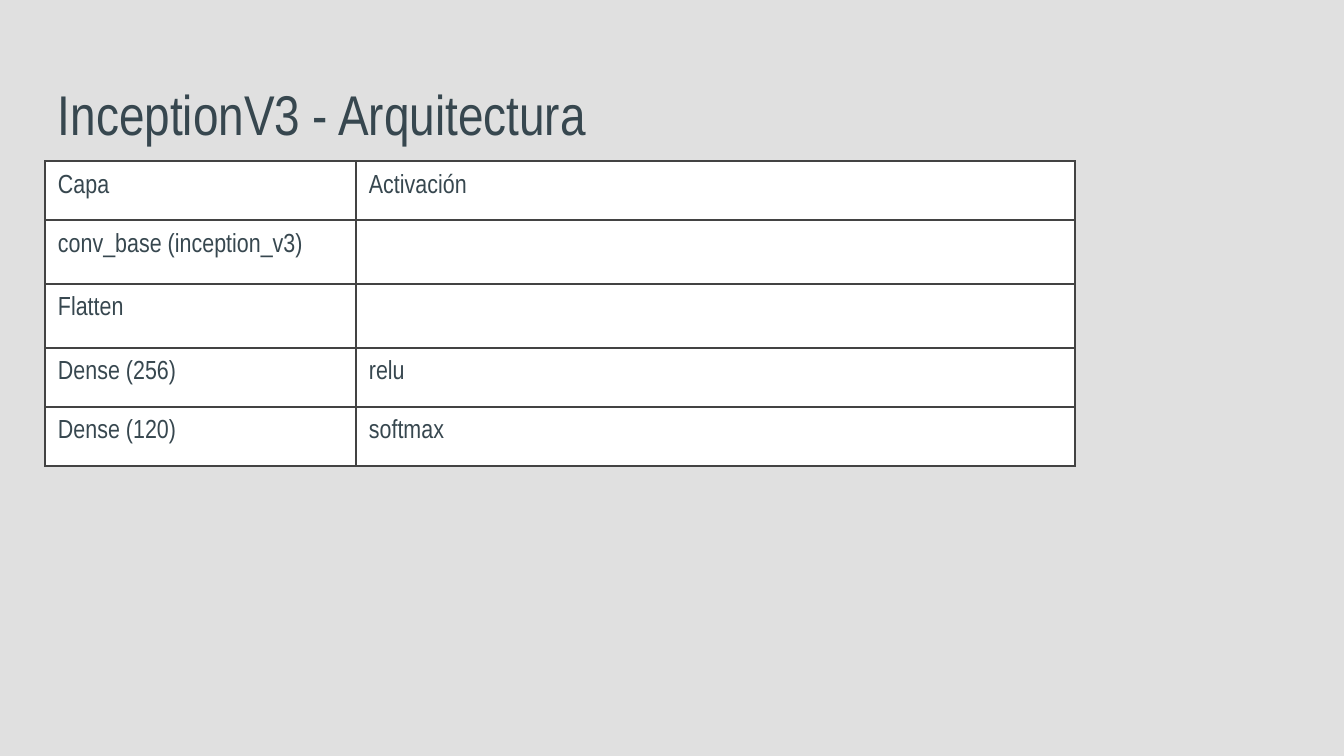
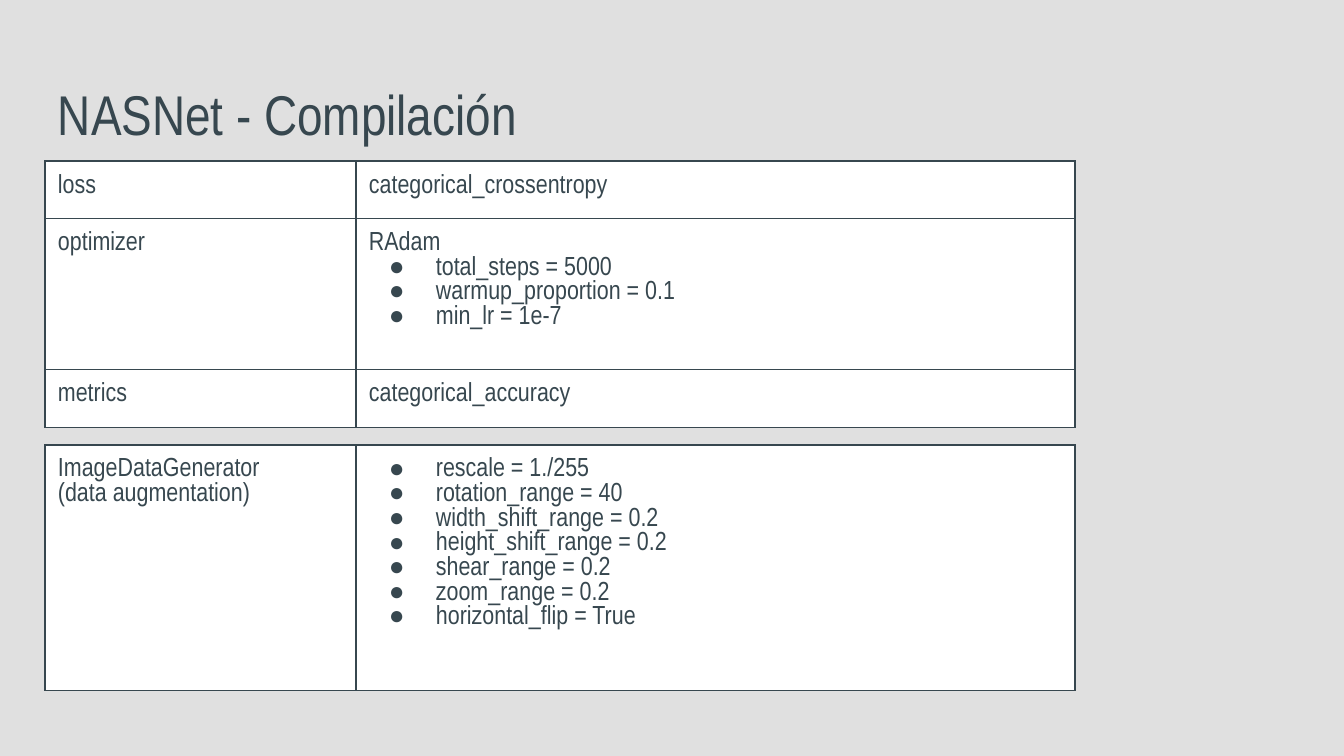
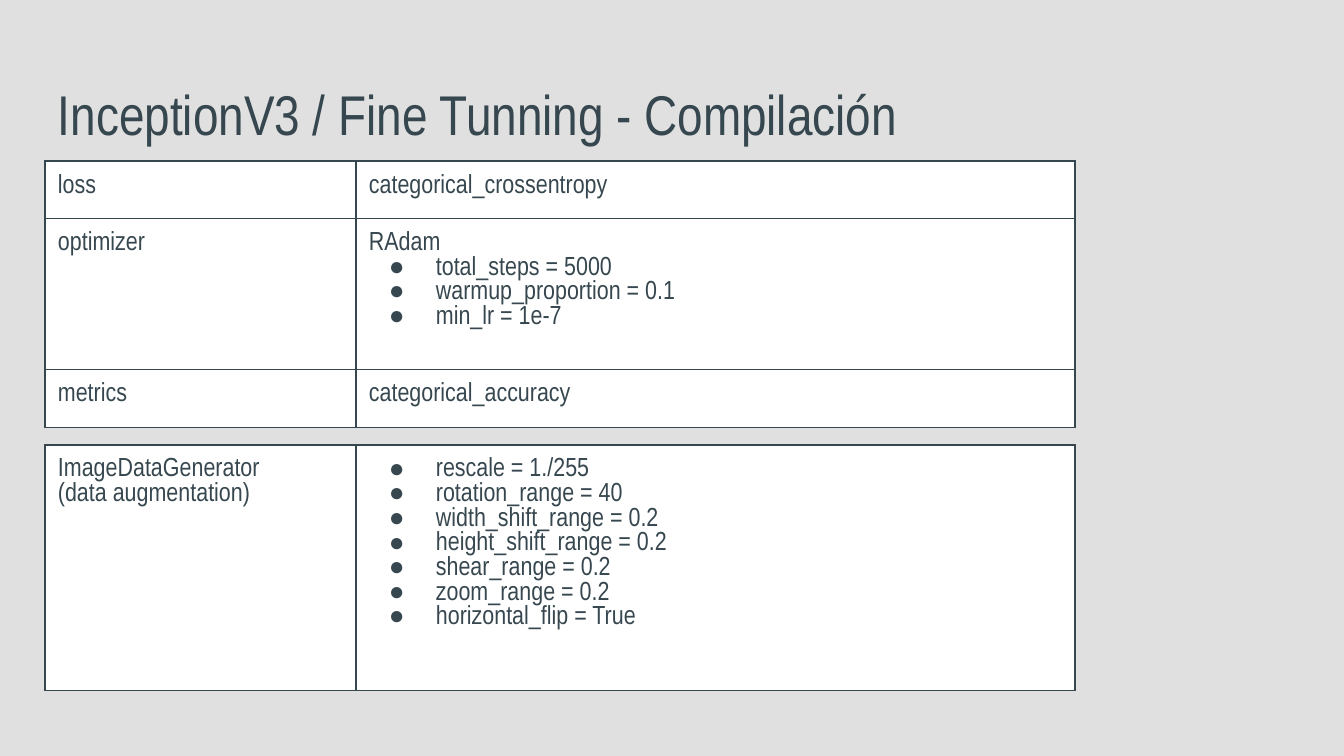
from dataclasses import dataclass

from lxml.etree import SubElement
from pptx import Presentation
from pptx.dml.color import RGBColor
from pptx.enum.text import MSO_ANCHOR
from pptx.oxml.ns import qn
from pptx.util import Emu, Pt

# Shared style
SLIDE_W, SLIDE_H = 1344, 756
EMU_PER_PX = 12192000 / 1344 * 0.75
FONT = "Arial Narrow"
BACKGROUND, INK, PAPER, GREY = "E0E0E0", "37474F", "FFFFFF", "434343"
TITLE_PT, CELL_PT, BORDER_PT = 30, 14, 0.75
LEFT, INSET = 45, 13
COLUMNS = (311, 719)
BULLET = "●"
BULLET_MARGIN, BULLET_INDENT = 67, -47


@dataclass(frozen=True)
class Line:
    text: str
    bulleted: bool = False


@dataclass(frozen=True)
class Row:
    height: int
    label: tuple[Line, ...]
    value: tuple[Line, ...] = ()


@dataclass(frozen=True)
class Grid:
    top: int
    rows: tuple[Row, ...]
    border: str = INK


@dataclass(frozen=True)
class Page:
    title: str
    grids: tuple[Grid, ...]


def px(length: int) -> Emu:
    return Emu(round(length * EMU_PER_PX))


def color(value: str) -> RGBColor:
    return RGBColor.from_string(value)


def plain(*texts: str) -> tuple[Line, ...]:
    return tuple(Line(text) for text in texts)


def bullets(*texts: str) -> tuple[Line, ...]:
    return tuple(Line(text, True) for text in texts)


# Content
ARCHITECTURE = Grid(161, (
    Row(59, plain("Capa"), plain("Activación")),
    Row(64, plain("conv_base (inception_v3)")),
    Row(64, plain("Flatten")),
    Row(59, plain("Dense (256)"), plain("relu")),
    Row(59, plain("Dense (120)"), plain("softmax")),
), GREY)

COMPILATION = Grid(161, (
    Row(53, plain("loss"), plain("categorical_crossentropy")),
    Row(150, plain("optimizer"), plain("RAdam") + bullets(
        "total_steps = 5000", "warmup_proportion = 0.1", "min_lr = 1e-7")),
    Row(53, plain("metrics"), plain("categorical_accuracy")),
))

AUGMENTATION = Grid(445, (
    Row(199, plain("ImageDataGenerator", "(data augmentation)"), bullets(
        "rescale = 1./255", "rotation_range = 40", "width_shift_range = 0.2",
        "height_shift_range = 0.2", "shear_range = 0.2", "zoom_range = 0.2",
        "horizontal_flip = True")),
))

PAGES = (
    Page("InceptionV3 - Arquitectura", (ARCHITECTURE,)),
    Page("NASNet - Compilación", (COMPILATION, AUGMENTATION)),
    Page("InceptionV3 / Fine Tunning - Compilación", (COMPILATION, AUGMENTATION)),
)


# Text
def style_runs(paragraph, size: int) -> None:
    for run in paragraph.runs:
        run.font.name = FONT
        run.font.size = Pt(size)
        run.font.color.rgb = color(INK)


def add_bullet(paragraph) -> None:
    props = paragraph._p.get_or_add_pPr()
    props.set("marL", str(px(BULLET_MARGIN)))
    props.set("indent", str(px(BULLET_INDENT)))
    tint = SubElement(props, qn("a:buClr"))
    SubElement(tint, qn("a:srgbClr"), val=INK)
    SubElement(props, qn("a:buFont"), typeface=FONT)
    SubElement(props, qn("a:buChar"), char=BULLET)


def add_title(slide, text: str) -> None:
    title = slide.shapes.add_textbox(px(LEFT), px(66), px(1280), px(84))
    frame = title.text_frame
    frame.word_wrap = True
    frame.vertical_anchor = MSO_ANCHOR.BOTTOM
    frame.margin_left = frame.margin_right = px(INSET)
    frame.margin_bottom = px(3)
    frame.text = text
    style_runs(frame.paragraphs[0], TITLE_PT)


# Tables
def add_borders(cell, border: str) -> None:
    props = cell._tc.get_or_add_tcPr()
    for side in ("lnL", "lnR", "lnT", "lnB"):
        edge = SubElement(props, qn(f"a:{side}"), w=str(Pt(BORDER_PT)))
        fill = SubElement(edge, qn("a:solidFill"))
        SubElement(fill, qn("a:srgbClr"), val=border)


def fill_cell(cell, lines: tuple[Line, ...], border: str) -> None:
    cell.margin_left = cell.margin_right = px(INSET)
    cell.margin_top = cell.margin_bottom = px(INSET)
    add_borders(cell, border)
    cell.fill.solid()
    cell.fill.fore_color.rgb = color(PAPER)
    frame = cell.text_frame
    if not lines:
        # An empty cell must not outgrow its row
        SubElement(frame.paragraphs[0]._p, qn("a:endParaRPr"), sz=str(CELL_PT * 100))
        return
    frame.text = "\n".join(line.text for line in lines)
    for paragraph, line in zip(frame.paragraphs, lines):
        if line.bulleted:
            add_bullet(paragraph)
        style_runs(paragraph, CELL_PT)


def add_grid(slide, grid: Grid) -> None:
    height = sum(row.height for row in grid.rows)
    table = slide.shapes.add_table(
        len(grid.rows), len(COLUMNS),
        px(LEFT), px(grid.top), px(sum(COLUMNS)), px(height)).table
    table.first_row = table.horz_banding = False
    for column, width in zip(table.columns, COLUMNS):
        column.width = px(width)
    for table_row, row in zip(table.rows, grid.rows):
        table_row.height = px(row.height)
        for cell, lines in zip(table_row.cells, (row.label, row.value)):
            fill_cell(cell, lines, grid.border)


def main() -> None:
    deck = Presentation()
    deck.slide_width, deck.slide_height = px(SLIDE_W), px(SLIDE_H)
    for page in PAGES:
        slide = deck.slides.add_slide(deck.slide_layouts[6])
        slide.background.fill.solid()
        slide.background.fill.fore_color.rgb = color(BACKGROUND)
        add_title(slide, page.title)
        for grid in page.grids:
            add_grid(slide, grid)
    deck.save("out.pptx")


if __name__ == "__main__":
    main()
